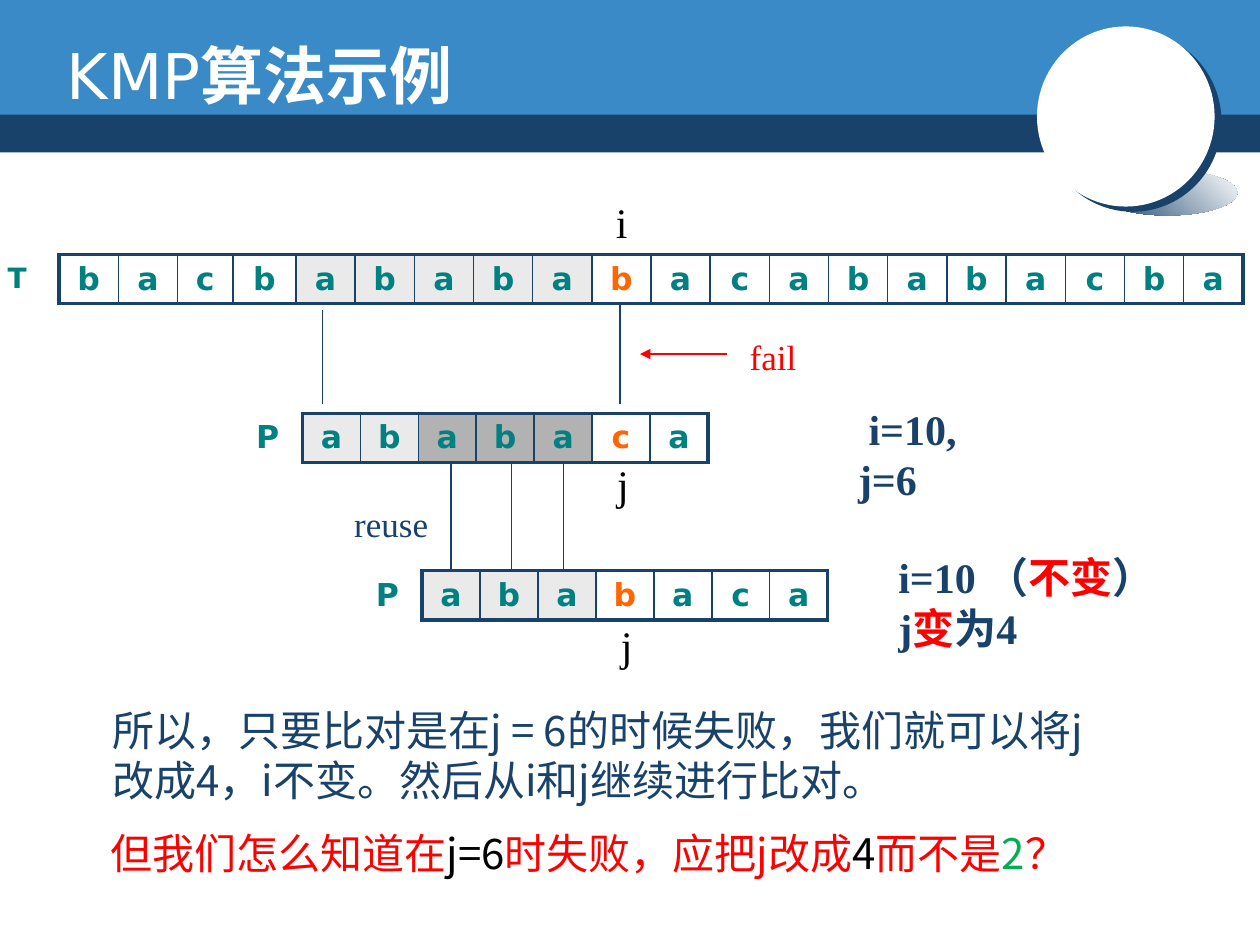
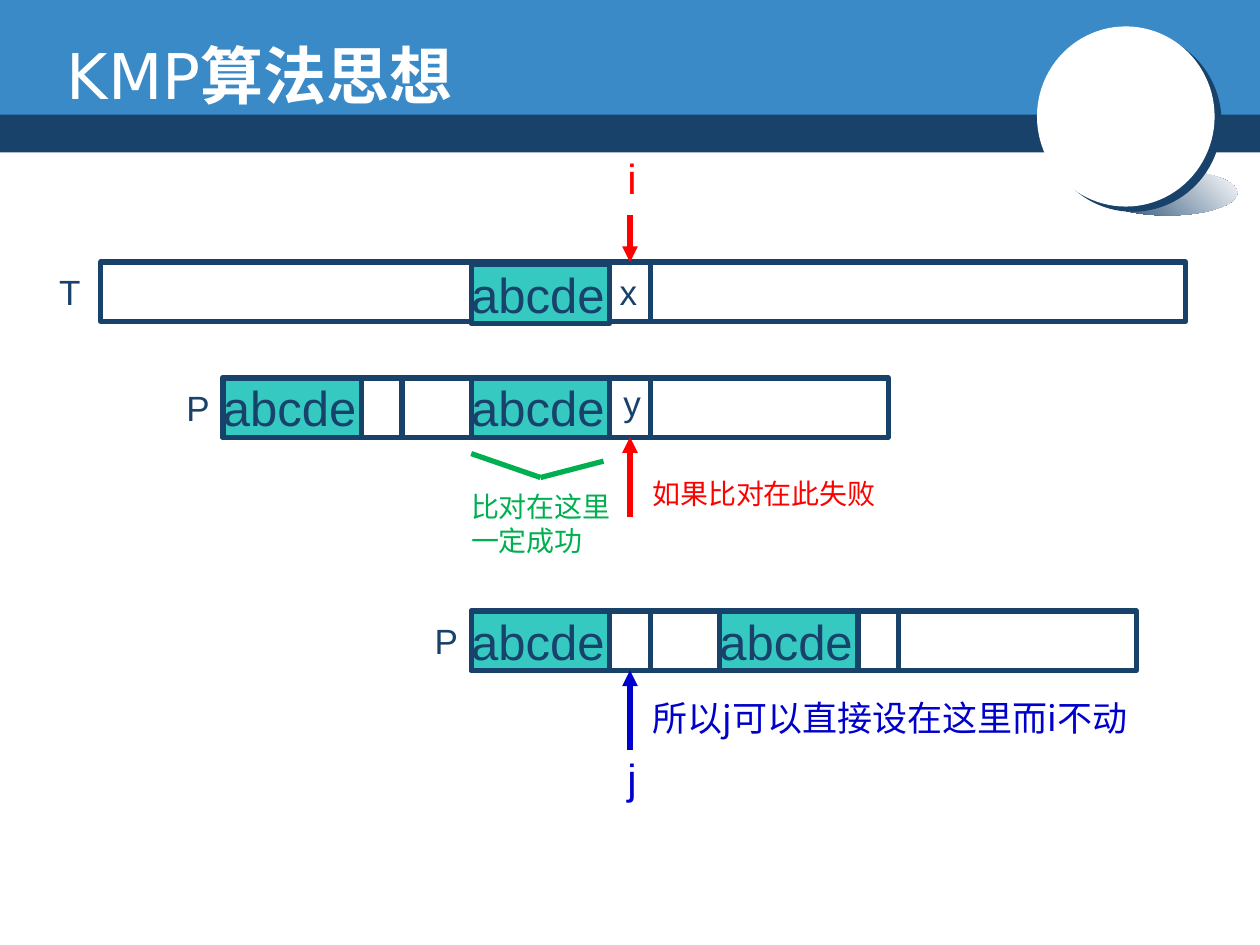
from dataclasses import dataclass

import pptx
import pptx.dml.color
import pptx.enum.shapes
import pptx.enum.text
import pptx.oxml
import pptx.oxml.ns
import pptx.util

SCALE = 9144
KIND = pptx.enum.shapes.MSO_SHAPE
ALIGN = pptx.enum.text.PP_ALIGN
ANCHOR = pptx.enum.text.MSO_ANCHOR
qn = pptx.oxml.ns.qn


@dataclass(frozen=True)
class Theme:
    navy: str = "19426B"
    blue: str = "398AC7"
    white: str = "FFFFFF"
    black: str = "000000"
    red: str = "FF0000"
    green: str = "00B050"
    deep: str = "0000CC"
    aqua: str = "35C9C2"
    teal: str = "008080"
    hot: str = "FF6600"
    pale: str = "EAEAEA"
    dark: str = "B2B2B2"
    sans: str = "DejaVu Sans"
    serif: str = "Times New Roman"
    plain: str = "Arial"
    han: str = "Noto Sans CJK SC"
    title: int = 36
    word: int = 28
    large: int = 24
    label: int = 20
    cell: int = 18
    small: int = 16
    thin: float = 0.75
    inner: float = 1
    outer: float = 2.25
    thick: float = 3


THEME = Theme()


@dataclass(frozen=True)
class Bit:
    text: str
    ink: str


@dataclass(frozen=True)
class Note:
    x: int
    y: int
    w: int
    h: int
    lines: tuple[tuple[Bit, ...], ...]
    size: int
    face: str
    bold: bool = False
    center: bool = False
    pad: int = 10
    wrap: bool = True


@dataclass(frozen=True)
class Strip:
    x: int
    y: int
    tag: str
    text: str
    shades: str
    head: int
    cols: tuple[int, ...]
    size: int = THEME.cell
    side: ALIGN = ALIGN.CENTER


@dataclass(frozen=True)
class Line:
    x1: int
    y1: int
    x2: int
    y2: int
    ink: str = THEME.navy
    width: float = THEME.thick
    arrow: bool = False


@dataclass(frozen=True)
class Bar:
    x: int
    y: int
    w: int
    tag: str
    gap: int
    words: tuple[int, ...]
    marks: tuple[int, ...]
    drop: int = 0


def px(n: int) -> pptx.util.Emu:
    return pptx.util.Emu(n * SCALE)


def rgb(ink: str) -> pptx.dml.color.RGBColor:
    return pptx.dml.color.RGBColor.from_string(ink)


def node(xml: str):
    return pptx.oxml.parse_xml(xml.replace(" ", f" {pptx.oxml.ns.nsdecls('a')} ", 1))


def say(text: str, ink: str) -> tuple[tuple[Bit, ...], ...]:
    return tuple((Bit(row, ink),) for row in text.split("\n"))


def style(font, size: int, face: str, ink: str = "", bold: bool = False) -> None:
    font.size, font.name, font.bold = pptx.util.Pt(size), face, bold
    if ink:
        font.color.rgb = rgb(ink)


def shape(slide, kind: KIND, x: int, y: int, w: int, h: int, fill: str, edge: str = ""):
    item = slide.shapes.add_shape(kind, px(x), px(y), px(w), px(h))
    item.shadow.inherit = False
    item.fill.solid()
    item.fill.fore_color.rgb = rgb(fill)
    if edge:
        item.line.color.rgb = rgb(edge)
        item.line.width = pptx.util.Pt(THEME.thick)
    else:
        item.line.fill.background()
    return item


def inset(frame, side: int, top: int) -> None:
    frame.margin_left = frame.margin_right = px(side)
    frame.margin_top = frame.margin_bottom = px(top)


def note(slide, item: Note) -> None:
    box = slide.shapes.add_textbox(px(item.x), px(item.y), px(item.w), px(item.h))
    frame = box.text_frame
    frame.word_wrap = item.wrap
    inset(frame, item.pad, item.pad // 2)
    for n, bits in enumerate(item.lines):
        para = frame.add_paragraph() if n else frame.paragraphs[0]
        para.alignment = ALIGN.CENTER if item.center else ALIGN.LEFT
        same = len({bit.ink for bit in bits}) == 1
        style(para.font, item.size, item.face, bits[0].ink if same else "", item.bold)
        for bit in bits:
            run = para.add_run()
            run.text = bit.text
            if not same:
                run.font.color.rgb = rgb(bit.ink)


def line(slide, item: Line) -> None:
    link = slide.shapes.add_connector(
        pptx.enum.shapes.MSO_CONNECTOR.STRAIGHT,
        px(item.x1), px(item.y1), px(item.x2), px(item.y2))
    link.line.color.rgb = rgb(item.ink)
    link.line.width = pptx.util.Pt(item.width)
    props = link.element.spPr
    if item.arrow:
        props.find(qn("a:ln")).append(node('<a:tailEnd type="triangle"/>'))
    props.append(node("<a:effectLst />"))


def border(cell, sides: dict[str, float]) -> None:
    props = cell._tc.get_or_add_tcPr()
    for n, side in enumerate("LRTB"):
        width = sides.get(side, 0)
        fill = f'<a:solidFill><a:srgbClr val="{THEME.navy}"/></a:solidFill>' if width else "<a:noFill/>"
        props.insert(n, node(f'<a:ln{side} w="{int(width * 12700)}">{fill}</a:ln{side}>'))


def strip(slide, item: Strip) -> None:
    cols = (item.head, *item.cols)
    table = slide.shapes.add_table(
        1, len(cols), px(item.x), px(item.y), px(sum(cols)), px(39)).table
    table.first_row = table.horz_banding = False
    table.rows[0].height = px(39)
    fills = {"e": THEME.pale, "d": THEME.dark}
    last = len(cols) - 1
    for n, (wide, text, shade) in enumerate(zip(cols, item.tag + item.text, "." + item.shades)):
        table.columns[n].width = px(wide)
        cell = table.cell(0, n)
        cell.vertical_anchor = ANCHOR.MIDDLE
        if shade in fills:
            cell.fill.solid()
            cell.fill.fore_color.rgb = rgb(fills[shade])
        else:
            cell.fill.background()
        para = cell.text_frame.paragraphs[0]
        para.alignment = ALIGN.CENTER if n else item.side
        para.add_run().text = text
        ink = THEME.hot if shade == "h" else THEME.teal
        style(para.font, THEME.cell if n else item.size, THEME.sans, ink, True)
        if n:
            border(cell, {"L": THEME.outer if n == 1 else THEME.inner,
                          "R": THEME.outer if n == last else THEME.inner,
                          "T": THEME.outer, "B": THEME.outer})
        else:
            border(cell, {"R": THEME.outer})


def bar(slide, item: Bar) -> None:
    shape(slide, KIND.RECTANGLE, item.x, item.y, item.w, 47, THEME.white, THEME.navy)
    note(slide, Note(item.x - item.gap, item.y + 2, 39, 44,
                     say(item.tag, THEME.navy), THEME.label, THEME.plain))
    for step in item.words:
        word = shape(slide, KIND.RECTANGLE, item.x + step, item.y + item.drop, 110, 47,
                     THEME.aqua, THEME.navy)
        frame = word.text_frame
        inset(frame, 0, 0)
        frame.vertical_anchor = ANCHOR.TOP
        para = frame.paragraphs[0]
        para.alignment = ALIGN.LEFT
        para.add_run().text = "abcde"
        style(para.font, THEME.word, THEME.plain, THEME.navy)
    for step in item.marks:
        line(slide, Line(item.x + step, item.y + 2, item.x + step, item.y + 45))


def banner(slide, layout) -> None:
    low = shape(slide, KIND.RECTANGLE, 0, 87, 1000, 34, THEME.navy)
    top = shape(slide, KIND.RECTANGLE, 0, 0, 1000, 91, THEME.blue)
    shade = shape(slide, KIND.OVAL, 871, 135, 111, 36, THEME.navy)
    shade.fill.gradient()
    shade.fill.gradient_angle = 45
    for stop, ink in zip(shade.fill.gradient_stops, (THEME.navy, THEME.white)):
        stop.color.rgb = rgb(ink)
    disc = shape(slide, KIND.OVAL, 823, 21, 141, 143, THEME.white)
    disc.element.spPr.find(qn("a:effectLst")).append(node(
        '<a:outerShdw blurRad="0" dist="63500" dir="2220000" algn="ctr" rotWithShape="0">'
        f'<a:srgbClr val="{THEME.navy}"/></a:outerShdw>'))
    for n, item in enumerate((low, top, shade, disc)):
        item.element.nvSpPr.cNvPr.set("id", str(50 + n))
        layout.shapes.element.append(item.element)


def title(slide, text: str) -> None:
    head = slide.shapes.title
    head.left, head.top, head.width, head.height = px(43), px(28), px(808), px(62)
    frame = head.text_frame
    frame.auto_size = pptx.enum.text.MSO_AUTO_SIZE.NONE
    frame.vertical_anchor = ANCHOR.MIDDLE
    para = frame.paragraphs[0]
    para.alignment = ALIGN.LEFT
    style(para.font, THEME.title, THEME.sans, THEME.white)
    for part, bold in (("KMP", False), (text, True)):
        run = para.add_run()
        run.text, run.font.bold = part, bold


def sample(slide) -> None:
    t = THEME
    title(slide, "算法示例")
    strip(slide, Strip(-4, 202, "T", "bacbababab" "acababacba", "....eeeeeh..........", 51,
                       (47, 47, 44, 50) + (47,) * 16, t.small, ALIGN.LEFT))
    for x, y, shades in ((185, 328, "eedddh."), (280, 453, "eeeh...")):
        text = "ababaca"
        strip(slide, Strip(x, y, "P", text, shades, 55, (46,) * len(text)))
    for x, y1, y2 in ((256, 246, 321), (492, 242, 321),
                      (358, 367, 454), (406, 367, 454), (447, 367, 454)):
        line(slide, Line(x, y1, x, y2, width=t.thin))
    line(slide, Line(577, 281, 508, 281, t.red, t.thin, True))
    for x, y, text in ((457, 151, "i"), (458, 359, "j"), (461, 487, "j")):
        note(slide, Note(x, y, 73, 50, say(text, t.black), t.large, t.serif, center=True))
    note(slide, Note(577, 261, 73, 43, say("fail", t.red), t.label, t.serif, center=True))
    note(slide, Note(271, 394, 79, 44, say("reuse", t.navy), t.label, t.serif,
                     center=True, wrap=False))
    note(slide, Note(681, 320, 141, 80, say(" i=10,\nj=6", t.navy), t.large, t.serif, True, pad=0))
    note(slide, Note(713, 438, 206, 120, (
        (Bit("i=10 （", t.navy), Bit("不变", t.red), Bit("）", t.navy)),
        (Bit("j", t.navy), Bit("变", t.red), Bit("为4", t.navy))), t.large, t.serif, True, pad=0))
    note(slide, Note(89, 559, 825, 81, say(
        "所以，只要比对是在j = 6的时候失败，我们就可以将j\n"
        "改成4，i不变。然后从i和j继续进行比对。", t.navy), t.large, t.han, pad=0))
    note(slide, Note(88, 657, 774, 80, ((
        Bit("但我们怎么知道在", t.red), Bit("j=6", t.black), Bit("时失败，应把j改成", t.red),
        Bit("4", t.black), Bit("而不是", t.red), Bit("2", t.green), Bit("？", t.red)),),
        t.large, t.han, pad=0))


def idea(slide) -> None:
    t = THEME
    title(slide, "算法思想")
    for x, y in ((177, 300), (374, 485)):
        bar(slide, Bar(x, y, 528, "P", 39, (0, 197), (142, 339)))
    bar(slide, Bar(80, 208, 861, "T", 43, (294,), (436,), 2))
    for y1, y2, ink in ((171, 208, t.red), (410, 347, t.red), (595, 532, t.deep)):
        line(slide, Line(500, y1, 500, y2, ink, arrow=True))
    for x, y in ((374, 360), (479, 366)):
        line(slide, Line(x, y, 429, 379, t.green))
    for x, y, w, h, text, ink, size, face in (
            (488, 116, 28, 50, "i", t.red, t.large, t.plain),
            (488, 592, 28, 50, "j", t.deep, t.large, t.plain),
            (482, 210, 34, 44, "x", t.navy, t.label, t.plain),
            (485, 298, 34, 44, "y", t.navy, t.label, t.plain),
            (508, 373, 200, 37, "如果比对在此失败", t.red, t.small, t.han),
            (364, 384, 132, 64, "比对在这里\n一定成功", t.green, t.small, t.han),
            (508, 548, 413, 80, "所以j可以直接设在这里而i不动", t.deep, t.label, t.han)):
        note(slide, Note(x, y, w, h, say(text, ink), size, face))


def main() -> None:
    deck = pptx.Presentation()
    deck.slide_width, deck.slide_height = px(1000), px(750)
    layout = deck.slide_layouts[5]
    for n, draw in enumerate((sample, idea)):
        slide = deck.slides.add_slide(layout)
        if not n:
            banner(slide, layout)
        draw(slide)
        for latin in list(slide.element.iter(qn("a:latin"))):
            latin.addnext(node(f'<a:ea typeface="{THEME.han}"/>'))
    deck.save("out.pptx")


if __name__ == "__main__":
    main()
